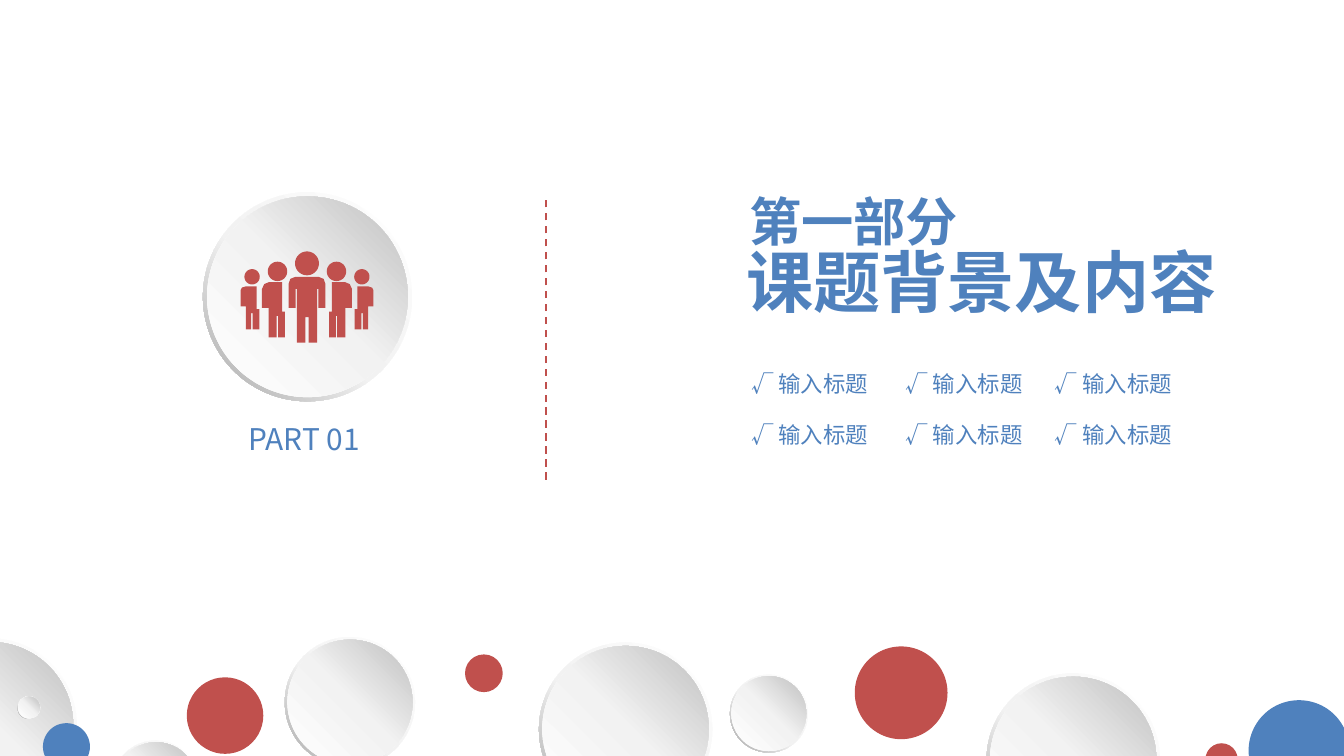
from copy import deepcopy
from math import cos, pi, sin

from lxml.etree import SubElement
from pptx import Presentation
from pptx.dml.color import RGBColor as Rgb
from pptx.enum.dml import MSO_LINE as Dash
from pptx.enum.shapes import MSO_CONNECTOR as Link, MSO_SHAPE as Kind
from pptx.enum.text import MSO_ANCHOR as Anchor, MSO_AUTO_SIZE as Fit, PP_ALIGN as Align
from pptx.oxml.ns import qn
from pptx.util import Pt

FONT = "Noto Sans CJK SC"
COLORS = {"blue": "4F81BD", "red": "C0504D", "white": "FFFFFF",
          "pale": "F2F2F2", "grey": "BFBFBF", "dark": "A6A6A6"}

# Gradients: angle (counter-clockwise) and stops
RIM = (225, [(0, "white"), (0.55, "pale"), (1, "dark")])
FACE = (45, [(0, "white"), (0.51, "pale"), (1, "grey")])

# Bottom row of discs: left, top, size, colour (None means silver)
DISCS = [
    (288.7, 344.2, 92.9, None), (457.9, 346.3, 49.7, "red"),
    (152.6, 341.3, 69.8, None), (668.9, 375.1, 54, "blue"),
    (60.5, 396.7, 46.1, None), (249.1, 350.6, 20.2, "red"),
    (391, 361.4, 41.8, None), (528.5, 360.7, 92.9, None),
    (645.8, 398.2, 17.3, "red"), (-51.8, 342, 92.9, None),
    (100.1, 362.9, 41, "red"), (23, 387.4, 25.2, "blue"),
    (9.4, 373, 12.2, None),
]

# People icon: x is measured from its axis of symmetry
AXIS = 164.5
HEADS = [(-15.8, 145.4, 5.2), (-29.4, 148.3, 4.1)]
OUTER = [(-25.5, 165.6), (-25.5, 176.4), (-29.1, 176.4), (-29.1, 167.8),
         (-29.9, 167.8), (-29.9, 176.4), (-32.7, 176.4), (-32.7, 164.2),
         (-35.6, 164.2), (-35.6, 155.5), (-34.9, 154.1), (-32.7, 153.4),
         (-27, 153.4), (-27, 165.6)]
INNER = [(-11.9, 167), (-11.9, 180.7), (-15.5, 180.7), (-15.5, 169.2),
         (-16.2, 169.2), (-16.2, 180.7), (-20.5, 180.7), (-20.5, 164.9),
         (-24.1, 164.9), (-24.1, 154.8), (-22.9, 152.2), (-20.5, 151.2),
         (-13.3, 151.2), (-13.3, 167)]
HALF = [(0.9, 169.9), (0.9, 183.6), (5.4, 183.6), (5.4, 154.8), (6.1, 154.8),
        (6.1, 164.9), (9.8, 164.9), (9.8, 151.9), (8.9, 149.4), (6.1, 148.3)]


def color(name):
    return Rgb.from_string(COLORS[name])


def add_run(para, text, size, bold=False):
    run = para.add_run()
    run.text = text
    font = run.font
    font.name, font.size, font.bold = FONT, Pt(size), bold
    font.color.rgb = color("blue")
    SubElement(font._element, qn("a:ea")).set("typeface", FONT)


def set_frame(frame, side, edge, anchor, wrap):
    frame.margin_left = frame.margin_right = Pt(side)
    frame.margin_top = frame.margin_bottom = Pt(edge)
    frame.vertical_anchor = anchor
    frame.word_wrap = wrap
    frame.auto_size = Fit.SHAPE_TO_FIT_TEXT


def add_label(slide, box, text, size, side=0, edge=0):
    frame = slide.shapes.add_textbox(*map(Pt, box)).text_frame
    set_frame(frame, side, edge, Anchor.MIDDLE, True)
    add_run(frame.paragraphs[0], text, size)


def set_title(slide):
    title = slide.shapes.title
    title.left, title.top, title.width, title.height = map(Pt, (391, 103, 269.3, 85))
    frame = title.text_frame
    set_frame(frame, 7.2, 3.6, Anchor.TOP, False)
    part, topic = frame.paragraphs[0], frame.add_paragraph()
    part.alignment, topic.alignment = Align.LEFT, Align.CENTER
    part.line_spacing = topic.line_spacing = 0.85
    add_run(part, " ", 14, True)
    add_run(part, "第一部分", 28, True)
    add_run(topic, "课题背景及内容", 36, True)


def set_ramp(shape, ramp):
    angle, stops = ramp
    fill = shape.fill
    fill.gradient()
    fill.gradient_angle = angle
    group = shape._element.spPr.find(".//" + qn("a:gsLst"))
    group.insert(1, deepcopy(group[0]))
    for stop, (place, name) in zip(fill.gradient_stops, stops):
        stop.position = place
        stop.color.rgb = color(name)


def add_round(slide, kind, left, top, size, ramp, tint):
    shape = slide.shapes.add_shape(kind, Pt(left), Pt(top), Pt(size), Pt(size))
    shape.shadow.inherit = False
    shape.line.fill.background()
    if tint:
        shape.fill.solid()
        shape.fill.fore_color.rgb = color(tint)
    else:
        set_ramp(shape, ramp)
    return shape


def add_disc(slide, left, top, size, tint=None):
    ring = add_round(slide, Kind.DONUT, left, top, size, RIM, tint)
    ring.adjustments[0] = 0.05
    gap = size * 0.02
    add_round(slide, Kind.OVAL, left + gap, top + gap, size - 2 * gap, FACE, tint)


def mirror(points):
    return [(-x, y) for x, y in points]


def circle(x, y, r, count=40):
    turns = [2 * pi * i / count for i in range(count)]
    return [(x + r * cos(t), y + r * sin(t)) for t in turns]


def add_people(slide):
    sides = [OUTER, INNER] + [circle(*head) for head in HEADS]
    rings = [circle(0, 141.1, 6.4), HALF + mirror(HALF)[::-1]]
    rings += sides + [mirror(side) for side in sides]
    rings = [[(Pt(AXIS + x), Pt(y)) for x, y in ring] for ring in rings]
    pen = slide.shapes.build_freeform(*rings[0][0])
    for ring in rings:
        pen.move_to(*ring[0])
        pen.add_line_segments(ring[1:], close=True)
    icon = pen.convert_to_shape()
    icon.shadow.inherit = False
    icon.fill.solid()
    icon.fill.fore_color.rgb = color("red")
    icon.line.fill.background()


def add_rule(slide):
    rule = slide.shapes.add_connector(
        Link.STRAIGHT, Pt(292.5), Pt(257), Pt(292.5), Pt(106))
    rule.line.color.rgb = color("red")
    rule.line.width = Pt(1)
    rule.line.dash_style = Dash.DASH
    SubElement(rule._element.spPr, qn("a:effectLst"))


def main():
    deck = Presentation()
    deck.slide_width, deck.slide_height = Pt(720), Pt(405)
    slide = deck.slides.add_slide(deck.slide_layouts[5])

    # Heading and divider
    set_title(slide)
    add_rule(slide)

    # Badge with its part number
    add_label(slide, (133.2, 225.4, 71.3, 19.4), "PART 01", 16)
    add_disc(slide, 108.7, 103, 112)
    add_people(slide)

    # Topic grid
    for top in (195.8, 223.2):
        for left in (397.4, 480.2, 560.2):
            add_label(slide, (left, top, 78, 19.4), "√ 输入标题", 12, 5, 2.2)

    # Decorative discs
    for disc in DISCS:
        add_disc(slide, *disc)

    deck.save("out.pptx")


if __name__ == "__main__":
    main()
